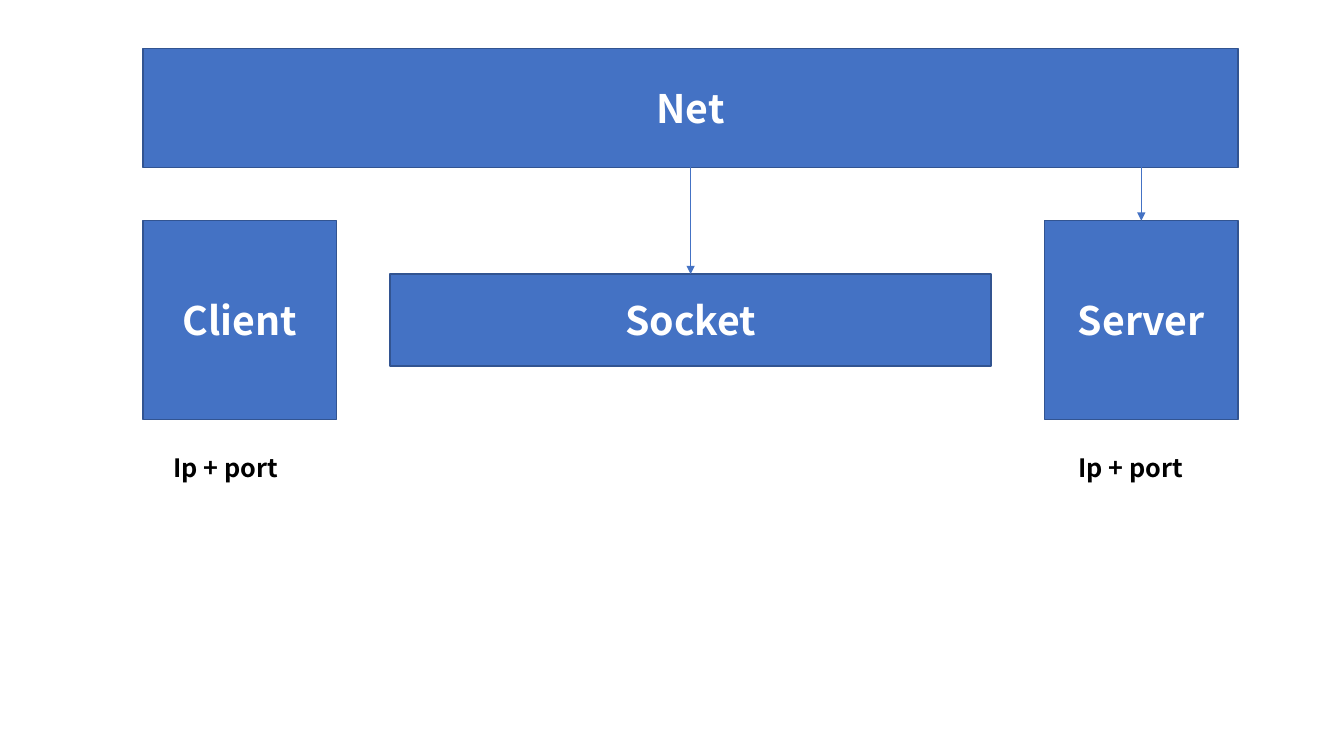
from dataclasses import dataclass

from lxml import etree
from pptx import Presentation
from pptx.dml.color import RGBColor
from pptx.enum.shapes import MSO_CONNECTOR, MSO_SHAPE
from pptx.enum.text import MSO_ANCHOR, MSO_AUTO_SIZE, PP_ALIGN
from pptx.oxml.ns import qn
from pptx.shapes.autoshape import Shape
from pptx.slide import Slide
from pptx.text.text import TextFrame
from pptx.util import Emu, Pt

RECTANGLE = MSO_SHAPE.RECTANGLE
STRAIGHT = MSO_CONNECTOR.STRAIGHT
MIDDLE = MSO_ANCHOR.MIDDLE
CENTER = PP_ALIGN.CENTER
LEFT = PP_ALIGN.LEFT
FIT_TEXT = MSO_AUTO_SIZE.SHAPE_TO_FIT_TEXT

EMU_PER_PX = 9144  # 100 px to the inch
BLANK_LAYOUT = 6
TOP, BOTTOM = 0, 2
FONT = "Noto Sans CJK SC"
COLORS = {
    "fill": "4472C4",
    "border": "325491",
    "box text": "FFFFFF",
    "caption": "000000",
}


@dataclass(frozen=True)
class Block:
    text: str
    left: int
    top: int
    width: int
    height: int


NET = Block("Net", 142, 48, 1086, 118)
CLIENT = Block("Client", 142, 219, 192, 197)
SERVER = Block("Server", 1036, 219, 192, 197)
SOCKET = Block("Socket", 387, 272, 596, 91)
CAPTIONS = [Block("Ip + port", left, 444, 144, 40) for left in (162, 1060)]


def px(length: int) -> Emu:
    return Emu(length * EMU_PER_PX)


def color(name: str) -> RGBColor:
    return RGBColor.from_string(COLORS[name])


def bounds(block: Block) -> tuple[Emu, Emu, Emu, Emu]:
    return px(block.left), px(block.top), px(block.width), px(block.height)


def write(frame: TextFrame, text: str, size: int, color_name: str,
          alignment: PP_ALIGN) -> None:
    frame.word_wrap = True
    paragraph = frame.paragraphs[0]
    paragraph.alignment = alignment
    run = paragraph.add_run()
    run.text = text
    run.font.name = FONT
    run.font.size = Pt(size)
    run.font.bold = True
    run.font.color.rgb = color(color_name)


def add_box(slide: Slide, block: Block) -> Shape:
    box = slide.shapes.add_shape(RECTANGLE, *bounds(block))
    box.shadow.inherit = False
    box.fill.solid()
    box.fill.fore_color.rgb = color("fill")
    box.line.color.rgb = color("border")
    box.line.width = Pt(1)
    box.text_frame.vertical_anchor = MIDDLE
    write(box.text_frame, block.text, 28, "box text", CENTER)
    return box


def add_caption(slide: Slide, block: Block) -> None:
    caption = slide.shapes.add_textbox(*bounds(block))
    write(caption.text_frame, block.text, 18, "caption", LEFT)
    caption.text_frame.auto_size = FIT_TEXT


def add_arrow_down(slide: Slide, source: Shape, target: Shape) -> None:
    """Drop an arrow from the source's lower edge to the target's top middle."""
    x = target.left + target.width // 2
    arrow = slide.shapes.add_connector(
        STRAIGHT, x, source.top + source.height, x, target.top)
    if x == source.left + source.width // 2:
        arrow.begin_connect(source, BOTTOM)
    arrow.end_connect(target, TOP)
    arrow.line.color.rgb = color("fill")
    arrow.line.width = Pt(0.5)
    properties = arrow.line._get_or_add_ln()
    etree.SubElement(properties, qn("a:tailEnd"), type="triangle")
    etree.SubElement(arrow._element.spPr, qn("a:effectLst"))


def main() -> None:
    presentation = Presentation()
    presentation.slide_width = px(1333)
    presentation.slide_height = px(750)
    slide = presentation.slides.add_slide(
        presentation.slide_layouts[BLANK_LAYOUT])

    net = add_box(slide, NET)
    add_box(slide, CLIENT)
    server = add_box(slide, SERVER)
    socket = add_box(slide, SOCKET)
    for caption in CAPTIONS:
        add_caption(slide, caption)
    for target in (socket, server):
        add_arrow_down(slide, net, target)

    presentation.save("out.pptx")


if __name__ == "__main__":
    main()
